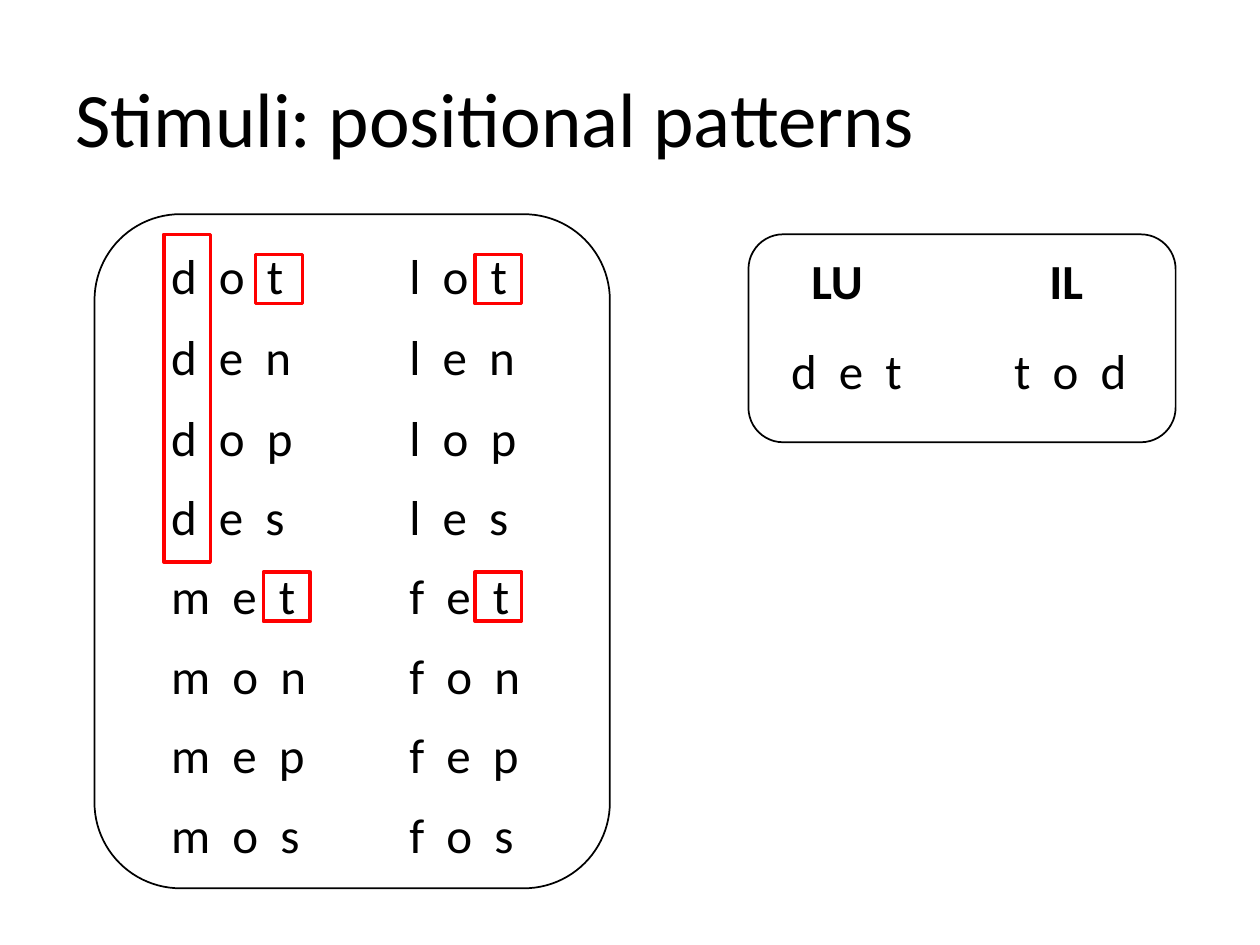
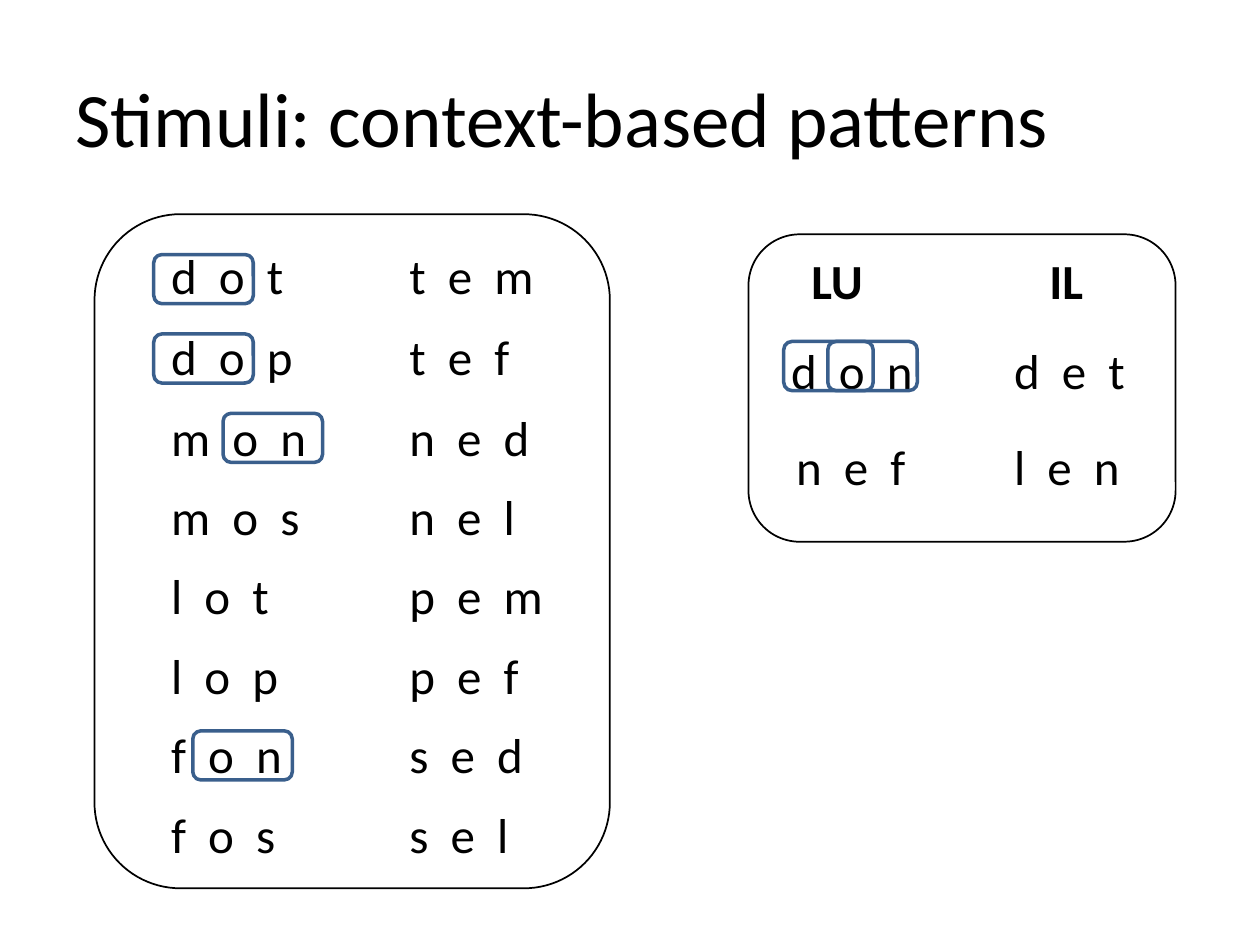
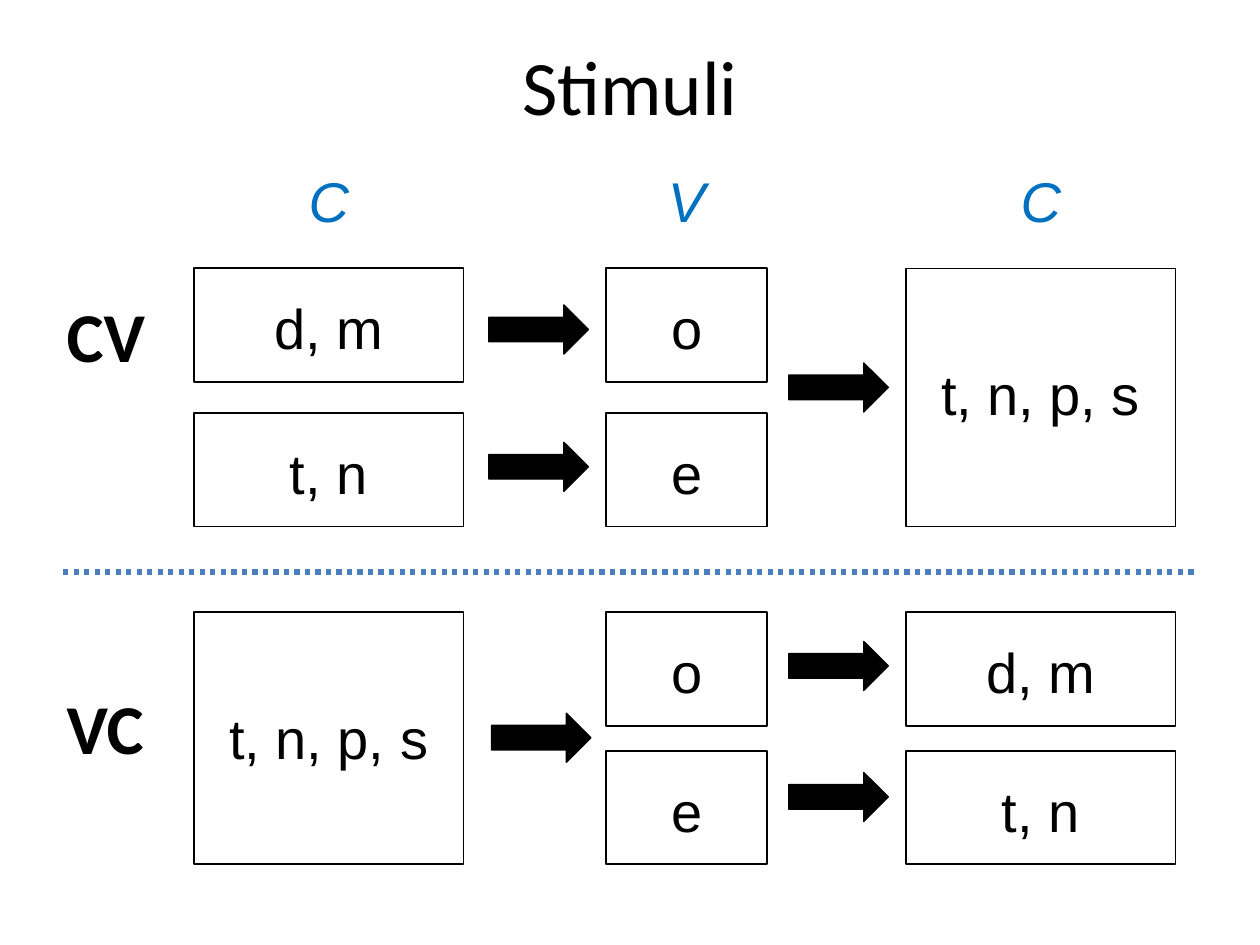
from dataclasses import dataclass

from lxml.etree import SubElement
from pptx import Presentation
from pptx.dml.color import RGBColor
from pptx.enum.dml import MSO_LINE
from pptx.enum.shapes import MSO_CONNECTOR, MSO_SHAPE
from pptx.enum.text import MSO_ANCHOR, PP_ALIGN
from pptx.oxml.ns import qn
from pptx.util import Inches, Pt


@dataclass(frozen=True)
class Theme:
    ink: RGBColor = RGBColor(0x00, 0x00, 0x00)
    paper: RGBColor = RGBColor(0xFF, 0xFF, 0xFF)
    position_mark: RGBColor = RGBColor(0xFF, 0x00, 0x00)
    context_mark: RGBColor = RGBColor(0x3A, 0x5F, 0x8C)
    slot_heading: RGBColor = RGBColor(0x00, 0x70, 0xC0)
    divider: RGBColor = RGBColor(0x4B, 0x7E, 0xBC)
    text_font: str = "Calibri"
    diagram_font: str = "Arial"
    title_size: int = 44
    pattern_size: int = 40
    slot_size: int = 32
    word_size: int = 28


THEME = Theme()

# Word list grid
STUDY_COLUMNS = (1.26, 3.15)
TEST_COLUMNS = (6.18, 7.95)
STUDY_ROWS = (1.9, 2.54, 3.18, 3.81, 4.44, 5.07, 5.7, 6.33)
UNFILLED_ROWS = (STUDY_ROWS[0], STUDY_ROWS[3])
TEST_ROWS = (2.65, 3.41)
WORD_W, WORD_H = 1.3, 0.57
MARK_ROWS = [2.02 + i * 0.63 for i in range(8)]
MARK_H = 0.39

# Syllable diagram grid: (left, width) of each sound slot
ONSET, VOWEL, CODA = (1.54, 2.14), (4.81, 1.28), (7.19, 2.14)
SLOT_H = 0.9
SLOT_INSET, TALL_SLOT_INSET = 0.2, 0.72


def box(left, top, width, height):
    return [Inches(round(v, 2)) for v in (left, top, width, height)]


def set_font(paragraph, size, name=THEME.text_font, color=THEME.ink,
             bold=False, italic=False):
    font = paragraph.font
    font.size, font.name = Pt(size), name
    font.bold, font.italic = bold, italic
    font.color.rgb = color


def add_titled_slide(prs, title, align=PP_ALIGN.LEFT, top=0.3):
    slide = prs.slides.add_slide(prs.slide_layouts[5])
    heading = slide.shapes.title
    heading.left, heading.top, heading.width, heading.height = box(0.5, top, 9, 1.25)
    heading.text_frame.text = title
    heading.text_frame.vertical_anchor = MSO_ANCHOR.MIDDLE
    paragraph = heading.text_frame.paragraphs[0]
    paragraph.alignment = align
    set_font(paragraph, THEME.title_size)
    return slide


def add_outline(slide, kind, bounds, fill=None, line=None, weight=1):
    shape = slide.shapes.add_shape(kind, *box(*bounds))
    shape.shadow.inherit = False
    if fill is None:
        shape.fill.background()
    else:
        shape.fill.solid()
        shape.fill.fore_color.rgb = fill
    if line is None:
        shape.line.fill.background()
    else:
        shape.line.color.rgb = line
        shape.line.width = Pt(weight)
    return shape


def add_label(slide, text, bounds, size=THEME.word_size, bold=False, filled=False):
    if filled:
        label = add_outline(slide, MSO_SHAPE.RECTANGLE, bounds, THEME.paper)
    else:
        label = slide.shapes.add_textbox(*box(*bounds))
    frame = label.text_frame
    frame.word_wrap = True
    frame.vertical_anchor = MSO_ANCHOR.MIDDLE
    frame.text = text
    frame.paragraphs[0].alignment = PP_ALIGN.LEFT
    set_font(frame.paragraphs[0], size, bold=bold)


def add_words(slide, words, left, rows):
    """Stack words in one column, their letters set apart."""
    for word, top in zip(words.split(), rows):
        add_label(slide, "  ".join(word), (left, top, WORD_W, WORD_H),
                  filled=top not in UNFILLED_ROWS)


def add_panels(slide, test_height):
    """Study panel on the left, test panel with its headings on the right."""
    for bounds in ((0.75, 1.7, 4.09, 5.35), (5.94, 1.86, 3.39, test_height)):
        add_outline(slide, MSO_SHAPE.ROUNDED_RECTANGLE, bounds, THEME.paper, THEME.ink)
    for heading, left in (("LU", 6.34), ("IL", 8.23)):
        add_label(slide, heading, (left, 1.94, 0.71, WORD_H), bold=True, filled=True)


def add_study_words(slide, *columns):
    for words, left in zip(columns, STUDY_COLUMNS):
        add_words(slide, words, left, STUDY_ROWS)


def mark_position(slide, left, top, height=MARK_H):
    add_outline(slide, MSO_SHAPE.RECTANGLE, (left, top, 0.37, height),
                line=THEME.position_mark, weight=2)


def mark_context(slide, left, top, width=0.79):
    add_outline(slide, MSO_SHAPE.ROUNDED_RECTANGLE, (left, top, width, MARK_H),
                line=THEME.context_mark, weight=2)


def add_slot(slide, text, column, top, height=SLOT_H, heading=False):
    left, width = column
    slot = add_outline(slide, MSO_SHAPE.RECTANGLE, (left, top, width, height),
                       THEME.paper, None if heading else THEME.ink)
    frame = slot.text_frame
    frame.vertical_anchor = MSO_ANCHOR.TOP
    frame.margin_top = Inches(TALL_SLOT_INSET if height > SLOT_H else SLOT_INSET)
    frame.text = text
    paragraph = frame.paragraphs[0]
    paragraph.alignment = PP_ALIGN.CENTER
    set_font(paragraph, THEME.slot_size, THEME.diagram_font,
             THEME.slot_heading if heading else THEME.ink, italic=heading)


def add_flow_arrow(slide, left, top):
    add_outline(slide, MSO_SHAPE.RIGHT_ARROW, (left, top, 0.79, 0.39),
                THEME.ink, THEME.ink, 0.75)


def add_divider(slide, top):
    divider = slide.shapes.add_connector(
        MSO_CONNECTOR.STRAIGHT, Inches(0.5), Inches(top), Inches(9.5), Inches(top))
    divider.line.color.rgb = THEME.divider
    divider.line.width = Pt(3)
    divider.line.dash_style = MSO_LINE.ROUND_DOT
    SubElement(divider.element.spPr, qn("a:effectLst"))


def build_positional(prs):
    slide = add_titled_slide(prs, "Stimuli: positional patterns")
    add_panels(slide, test_height=1.65)
    add_study_words(slide, "dot den dop des met mon mep mos",
                    "lot len lop les fet fon fep fos")
    for word, left in zip(("det", "tod"), TEST_COLUMNS):
        add_words(slide, word, left, TEST_ROWS)
    # Final t, then initial d
    for left, row in ((2.03, 0), (3.77, 0), (2.09, 4), (3.77, 4)):
        mark_position(slide, left, MARK_ROWS[row])
    mark_position(slide, 1.3, 1.86, height=2.6)


def build_context(prs):
    slide = add_titled_slide(prs, "Stimuli: context-based patterns")
    add_panels(slide, test_height=2.44)
    add_study_words(slide, "dot dop mon mos lot lop fon fos",
                    "tem tef ned nel pem pef sed sel")
    lu_left, il_left = TEST_COLUMNS
    add_words(slide, "don", lu_left, TEST_ROWS)
    add_words(slide, "nef", lu_left + 0.04, TEST_ROWS[1:])
    add_words(slide, "det len", il_left, TEST_ROWS)
    # Shared pairs "do" and "on"
    for left, row in ((1.22, 0), (1.22, 1), (1.77, 2), (1.53, 6)):
        mark_context(slide, left, MARK_ROWS[row])
    for left in (6.22, 6.57):
        mark_context(slide, left, 2.71, width=0.71)


def build_syllables(prs):
    slide = add_titled_slide(prs, "Stimuli", PP_ALIGN.CENTER, top=0.05)
    for sound, column in (("C", ONSET), ("V", VOWEL), ("C", CODA)):
        add_slot(slide, sound, column, 1.12, heading=True)

    # CV: the onset sets the vowel; VC: the vowel sets the coda
    patterns = (("CV", 2.15, ONSET, CODA, (2.13, 3.28)),
                ("VC", 5.26, CODA, ONSET, (4.86, 5.96)))
    for name, label_top, linked, free, tops in patterns:
        for consonants, vowel, top in zip(("d, m", "t, n"), "oe", tops):
            add_slot(slide, consonants, linked, top)
            add_slot(slide, vowel, VOWEL, top)
        add_slot(slide, "t, n, p, s", free, tops[0], tops[1] - tops[0] + SLOT_H)
        add_label(slide, name, (0.43, label_top, 3.16, 1.01),
                  THEME.pattern_size, bold=True)

    for left, top in ((3.88, 2.42), (3.88, 3.51), (6.26, 2.88),
                      (3.9, 5.66), (6.26, 5.09), (6.26, 6.13)):
        add_flow_arrow(slide, left, top)
    add_divider(slide, 4.54)


def main():
    prs = Presentation()
    prs.slide_width, prs.slide_height = Inches(10), Inches(7.5)
    build_positional(prs)
    build_context(prs)
    build_syllables(prs)
    prs.save("out.pptx")


if __name__ == "__main__":
    main()
